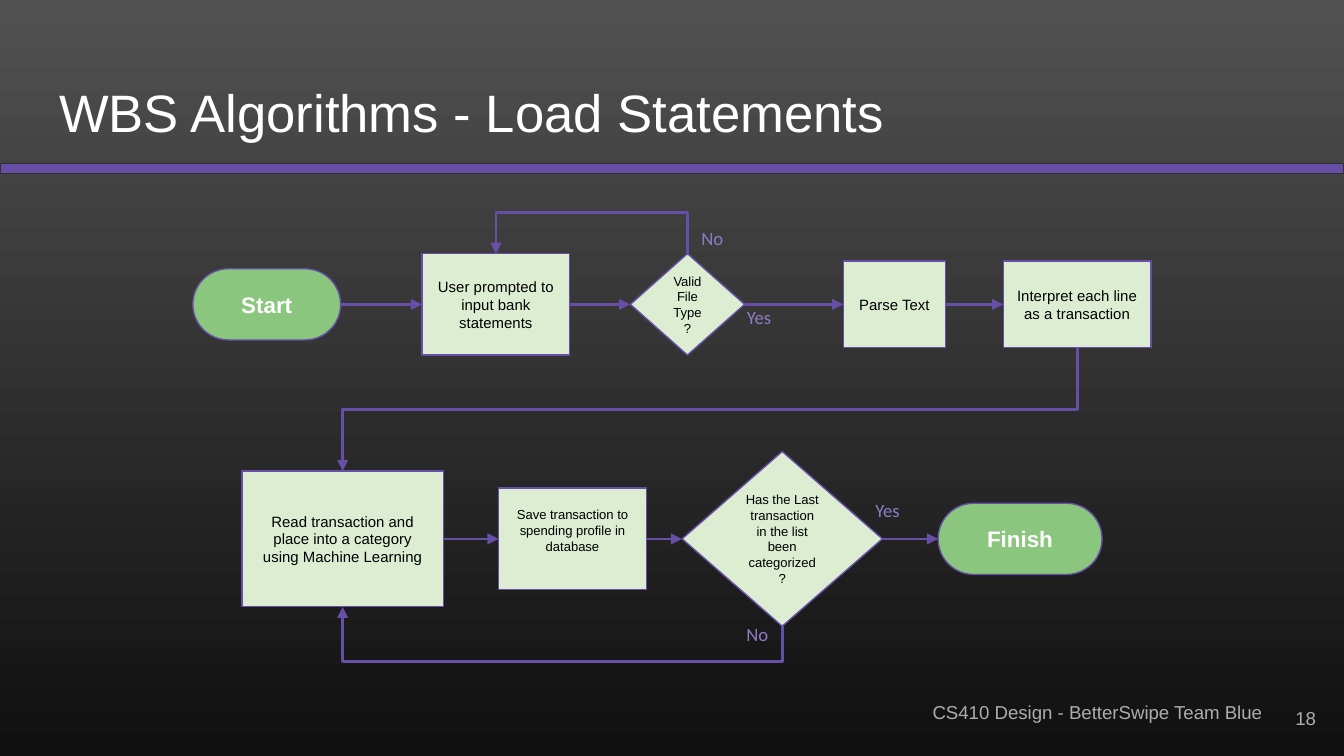
from dataclasses import dataclass

import pptx
import pptx.dml.color
import pptx.enum.shapes
import pptx.enum.text
import pptx.oxml
import pptx.oxml.ns
import pptx.util

RGBColor = pptx.dml.color.RGBColor
Shape = pptx.enum.shapes.MSO_SHAPE
Connector = pptx.enum.shapes.MSO_CONNECTOR
Align = pptx.enum.text.PP_ALIGN
Anchor = pptx.enum.text.MSO_ANCHOR

PURPLE = RGBColor(0x67, 0x4E, 0xA7)
LILAC = RGBColor(0x8E, 0x7C, 0xC3)
GREEN = RGBColor(0x8A, 0xC6, 0x7D)
PALE_GREEN = RGBColor(0xDC, 0xED, 0xD2)
GREY = RGBColor(0xAD, 0xAD, 0xAD)
DARK_GREY = RGBColor(0x30, 0x30, 0x30)
SKY_TOP = RGBColor(0x51, 0x51, 0x51)
SKY_BOTTOM = RGBColor(0x10, 0x10, 0x10)
WHITE = RGBColor(0xFF, 0xFF, 0xFF)
BLACK = RGBColor(0, 0, 0)

WIDTH = pptx.util.Inches(10)
HEIGHT = pptx.util.Emu(WIDTH * 9 // 16)
COLUMN, ROW = WIDTH / 100, HEIGHT / 56.25
INSET = 1  # text margin, in grid units
UPPER, LOWER = 22.65, 40.1  # centre rows of the two lanes
LEFT, RIGHT = 1, 3  # connection sites


def across(columns: float) -> pptx.util.Emu:
    return pptx.util.Emu(round(columns * COLUMN))


def down(rows: float) -> pptx.util.Emu:
    return pptx.util.Emu(round(rows * ROW))


@dataclass
class Style:
    kind: Shape
    fill: RGBColor
    color: RGBColor
    size: float
    bold: bool = False


TERMINAL = Style(Shape.ROUNDED_RECTANGLE, GREEN, WHITE, 12, True)
STEP = Style(Shape.RECTANGLE, PALE_GREEN, BLACK, 8)
SMALL_STEP = Style(Shape.RECTANGLE, PALE_GREEN, BLACK, 7)
DECISION = Style(Shape.FLOWCHART_DECISION, PALE_GREEN, BLACK, 7)


@dataclass
class Node:
    text: str
    style: Style
    left: float
    middle: float
    width: float
    height: float
    bottom_inset: float = INSET

    @property
    def center(self) -> float:
        return self.left + self.width / 2

    @property
    def top(self) -> float:
        return self.middle - self.height / 2

    @property
    def bottom(self) -> float:
        return self.middle + self.height / 2


@dataclass
class Label:
    text: str
    left: float
    top: float
    width: float
    height: float = 3.7
    font: str = "Calibri"
    color: RGBColor = LILAC
    align: Align = Align.LEFT
    anchor: Anchor = Anchor.TOP


start = Node("Start", TERMINAL, 14.35, UPPER, 11, 5.3)
prompt = Node("User prompted to input bank statements", STEP, 31.4, UPPER, 11, 7.55)
valid = Node("Valid File Type?", DECISION, 46.9, UPPER, 8.5, 7.55)
parse_text = Node("Parse Text", STEP, 62.75, UPPER, 7.6, 6.45)
interpret = Node("Interpret each line as a transaction", STEP, 74.65, UPPER, 11, 6.45)
read = Node("Read transaction and place into a category using Machine Learning",
            STEP, 18, LOWER, 15, 10.1)
store = Node("Save transaction to spending profile in database",
             SMALL_STEP, 37.1, LOWER, 11, 7.55, 2.3)
last = Node("Has the Last transaction in the list been categorized?",
            DECISION, 50.75, LOWER, 14.9, 13)
finish = Node("Finish", TERMINAL, 69.8, LOWER, 12.2, 5.3)
LANES = [[start, prompt, valid, parse_text, interpret], [read, store, last, finish]]

LABELS = [
    Label("No", 51.2, 16.05, 5.1),
    Label("Yes", 54.6, 21.9, 7.3),
    Label("Yes", 64.15, 36.3, 7.3),
    Label("No", 54.55, 45.5, 7.3),
    Label("CS410 Design - BetterSwipe Team Blue", 68.4, 51.3, 33.2, font="Arial", color=GREY),
    Label("18", 92.9, 51.3, 6, 4.3, "Arial", GREY, Align.RIGHT, Anchor.MIDDLE),
]


def write(shape, text: str, font: str, size: float, color: RGBColor, align: Align,
          anchor: Anchor, bold: bool = False, bottom_inset: float = INSET):
    frame = shape.text_frame
    frame.word_wrap = True
    frame.vertical_anchor = anchor
    frame.margin_left = frame.margin_right = across(INSET)
    frame.margin_top, frame.margin_bottom = down(INSET), down(bottom_inset)
    frame.text = text
    para = frame.paragraphs[0]
    para.alignment = align
    para.font.name, para.font.size, para.font.bold = font, pptx.util.Pt(size), bold
    para.font.color.rgb = color


def add_block(page, kind: Shape, left: float, top: float, width: float, height: float,
              fill: RGBColor, line: RGBColor):
    block = page.shapes.add_shape(kind, across(left), down(top), across(width), down(height))
    block.shadow.inherit = False
    block.fill.solid()
    block.fill.fore_color.rgb = fill
    block.line.color.rgb = line
    block.line.width = pptx.util.Pt(0.75)
    return block


def add_node(page, node: Node):
    style = node.style
    block = add_block(page, style.kind, node.left, node.top, node.width, node.height,
                      style.fill, PURPLE)
    if style.kind == Shape.ROUNDED_RECTANGLE:
        block.adjustments[0] = 0.5
    write(block, node.text, "Arial", style.size, style.color, Align.CENTER,
          Anchor.MIDDLE, style.bold, node.bottom_inset)
    return block


def add_label(page, label: Label):
    box = page.shapes.add_textbox(across(label.left), down(label.top),
                                  across(label.width), down(label.height))
    write(box, label.text, label.font, 10, label.color, label.align, label.anchor)


def style_arrow(arrow):
    arrow.line.color.rgb = PURPLE
    arrow.line.width = pptx.util.Pt(1.5)
    namespace = pptx.oxml.ns.nsdecls("a")
    outline = arrow._element.spPr.find(pptx.oxml.ns.qn("a:ln"))
    outline.append(pptx.oxml.parse_xml(f'<a:tailEnd {namespace} type="triangle"/>'))
    outline.addnext(pptx.oxml.parse_xml(f"<a:effectLst {namespace}/>"))


def add_step_arrow(page, source, target):
    arrow = page.shapes.add_connector(Connector.STRAIGHT, 0, 0, 0, 0)
    arrow.begin_connect(source, RIGHT)
    arrow.end_connect(target, LEFT)
    style_arrow(arrow)


def add_lane_arrow(page, x1: float, y1: float, x2: float, y2: float, lane: float):
    """Run leftwards from (x1, y1) to (x2, y2) along the row `lane`.

    The elbow is a quarter turn of one that leaves sideways, so its
    unrotated box has the rise as its width and the run as its height.
    """
    rise = (y2 - y1) or 0.01
    run = x1 - x2
    x, y = (x1 + x2) / 2, (y1 + y2) / 2
    arrow = page.shapes.add_connector(
        Connector.ELBOW, across(x - rise / 2), down(y - run / 2),
        across(x + rise / 2), down(y + run / 2))
    properties = arrow._element.spPr
    properties.find(pptx.oxml.ns.qn("a:xfrm")).set("rot", str(90 * 60000))
    guides = properties.find(".//" + pptx.oxml.ns.qn("a:avLst"))
    bend = round((lane - y1) / rise * 100000)
    guides.append(pptx.oxml.parse_xml(
        f'<a:gd {pptx.oxml.ns.nsdecls("a")} name="adj1" fmla="val {bend}"/>'))
    style_arrow(arrow)


def main():
    deck = pptx.Presentation()
    deck.slide_width, deck.slide_height = WIDTH, HEIGHT
    page = deck.slides.add_slide(deck.slide_layouts.get_by_name("Title Only"))

    backdrop = page.background.fill
    backdrop.gradient()
    backdrop.gradient_angle = 270
    for stop, color, position in zip(backdrop.gradient_stops, (SKY_TOP, SKY_BOTTOM), (0, 1)):
        stop.color.rgb = color
        stop.position = position

    title = page.shapes.title
    title.left, title.top = across(3.4), down(4.9)
    title.width, title.height = across(93.2), down(6.8)
    write(title, "WBS Algorithms - Load Statements", "Arial", 28.2, WHITE,
          Align.LEFT, Anchor.MIDDLE)
    add_block(page, Shape.RECTANGLE, 0, 12.15, 100, 0.75, PURPLE, DARK_GREY)

    for lane in LANES:
        blocks = [add_node(page, node) for node in lane]
        for source, target in zip(blocks, blocks[1:]):
            add_step_arrow(page, source, target)

    add_lane_arrow(page, valid.center, valid.top, prompt.center, prompt.top, 16.3)
    add_lane_arrow(page, interpret.center, interpret.bottom, read.center, read.top, 30.5)
    add_lane_arrow(page, last.center, last.bottom, read.center, read.bottom, 49.25)

    for label in LABELS:
        add_label(page, label)
    deck.save("out.pptx")


if __name__ == "__main__":
    main()
